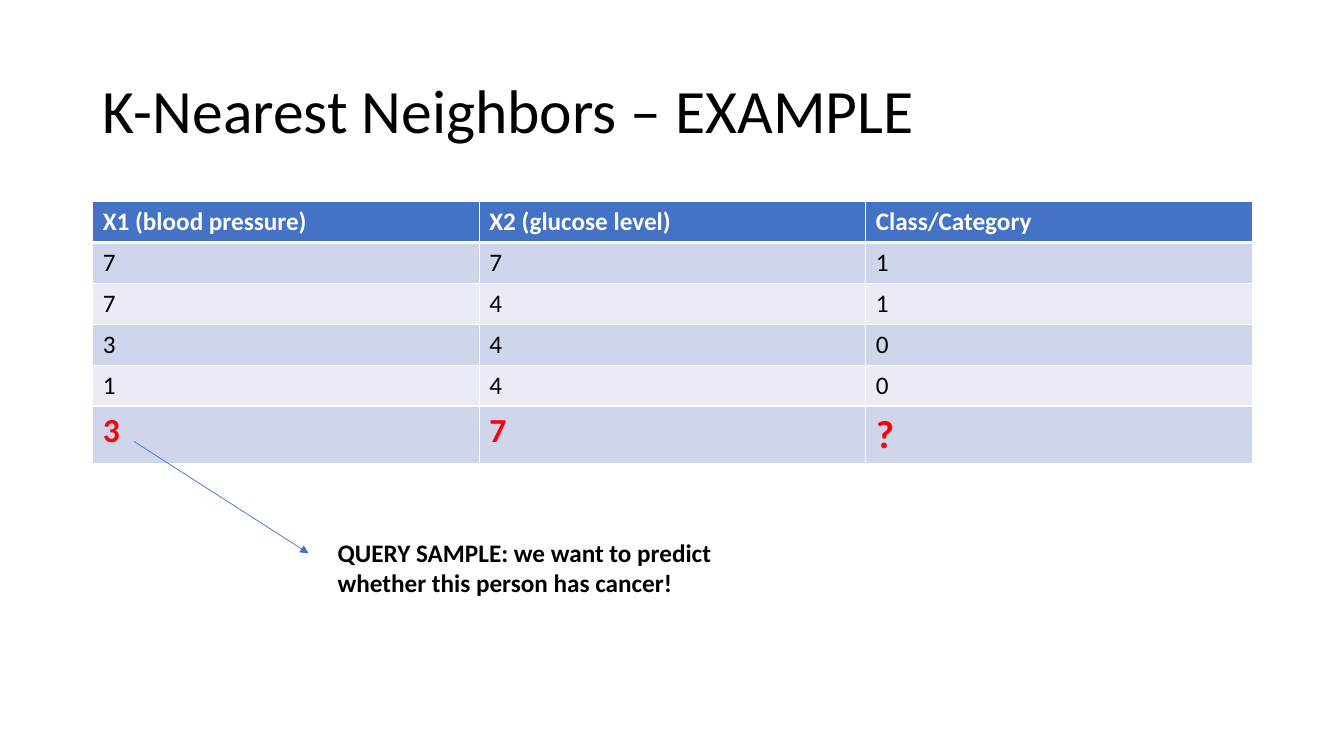
from pptx import Presentation
from pptx.dml.color import RGBColor
from pptx.enum.shapes import MSO_CONNECTOR as Connector
from pptx.enum.text import MSO_ANCHOR as Anchor, MSO_AUTO_SIZE as AutoSize, PP_ALIGN as Align
from pptx.oxml import parse_xml
from pptx.oxml.ns import nsdecls
from pptx.util import Emu, Pt

EMU_PER_PX = 9144  # 100 px to the inch

BLACK = RGBColor(0x00, 0x00, 0x00)
WHITE = RGBColor(0xFF, 0xFF, 0xFF)
RED = RGBColor(0xFF, 0x00, 0x00)
BLUE = RGBColor(0x44, 0x72, 0xC4)
BAND_DARK = RGBColor(0xCF, 0xD5, 0xEA)
BAND_LIGHT = RGBColor(0xE9, 0xEB, 0xF5)

HEADER = ["X1 (blood pressure)", "X2 (glucose level)", "Class/Category"]
SAMPLES = [[7, 7, 1], [7, 4, 1], [3, 4, 0], [1, 4, 0]]
QUERY = [3, 7, "?"]


def px(*lengths):
    return [Emu(n * EMU_PER_PX) for n in lengths]


class SlideBuilder:
    font = "Calibri"

    def __init__(self, prs):
        self.s = prs.slides.add_slide(prs.slide_layouts[5])

    def add_text(self, tf, text, **style):
        p = tf.paragraphs[0]
        p.alignment = Align.LEFT
        r = p.add_run()
        r.text = str(text)
        r.font.color.rgb = style.pop("color", BLACK)
        for name, value in {"name": self.font, "size": Pt(18), "bold": False, **style}.items():
            setattr(r.font, name, value)
        return p

    def title(self, text, *box):
        sp = self.s.shapes.title
        sp.left, sp.top, sp.width, sp.height = px(*box)
        tf = sp.text_frame
        for name, value in {"vertical_anchor": Anchor.MIDDLE, "auto_size": AutoSize.NONE,
                            "word_wrap": True}.items():
            setattr(tf, name, value)
        self.add_text(tf, text, size=Pt(44)).line_spacing = 0.9

    def text(self, text, *box, **style):
        tf = self.s.shapes.add_textbox(*px(*box)).text_frame
        tf.word_wrap = True
        tf.auto_size = AutoSize.SHAPE_TO_FIT_TEXT
        self.add_text(tf, text, **style)

    def borders(self, cell, **points):
        tc_pr = cell._tc.get_or_add_tcPr()
        for i, (side, width) in enumerate(points.items()):
            tc_pr.insert(i, parse_xml(
                f'<a:ln{side} {nsdecls("a")} w="{Pt(width)}"><a:solidFill>'
                f'<a:srgbClr val="{WHITE}"/></a:solidFill></a:ln{side}>'))

    def table(self, rows, *box, row_style):
        table = self.s.shapes.add_table(len(rows), len(rows[0]), *px(*box)).table
        for i, row in enumerate(rows):
            fill, style = row_style(i)
            for j, value in enumerate(row):
                cell = table.cell(i, j)
                cell.fill.solid()
                cell.fill.fore_color.rgb = fill
                self.borders(cell, L=1, R=1, T=3 if i == 1 else 1, B=3 if i == 0 else 1)
                size = {"size": Pt(28)} if value == "?" else {}
                self.add_text(cell.text_frame, value, **{**style, **size})

    def arrow(self, *ends, color, width):
        line = self.s.shapes.add_connector(Connector.STRAIGHT, *px(*ends))
        line.line.color.rgb = color
        line.line.width = Pt(width)
        line.line._get_or_add_ln().append(
            parse_xml(f'<a:tailEnd {nsdecls("a")} type="triangle"/>'))
        line._element.spPr.append(parse_xml(f'<a:effectLst {nsdecls("a")}/>'))


def row_style(i):
    if i == 0:
        return BLUE, {"color": WHITE, "bold": True}
    fill = BAND_DARK if i % 2 else BAND_LIGHT
    if i > len(SAMPLES):
        return fill, {"color": RED, "bold": True, "size": Pt(24)}
    return fill, {}


def main():
    prs = Presentation()
    prs.slide_width, prs.slide_height = px(1333, 750)
    slide = SlideBuilder(prs)

    # Title
    slide.title("K-Nearest Neighbors – EXAMPLE", 92, 40, 1150, 145)

    # Known samples and the query; the last row grows to fit its text
    slide.table([HEADER, *SAMPLES, QUERY], 92, 200, 1150, 243, row_style=row_style)

    # Note on the query
    slide.arrow(133, 438, 306, 549, color=BLUE, width=0.5)
    slide.text("QUERY SAMPLE: we want to predict whether this person has cancer!",
               325, 528, 476, 71, bold=True)

    prs.save("out.pptx")


if __name__ == "__main__":
    main()
